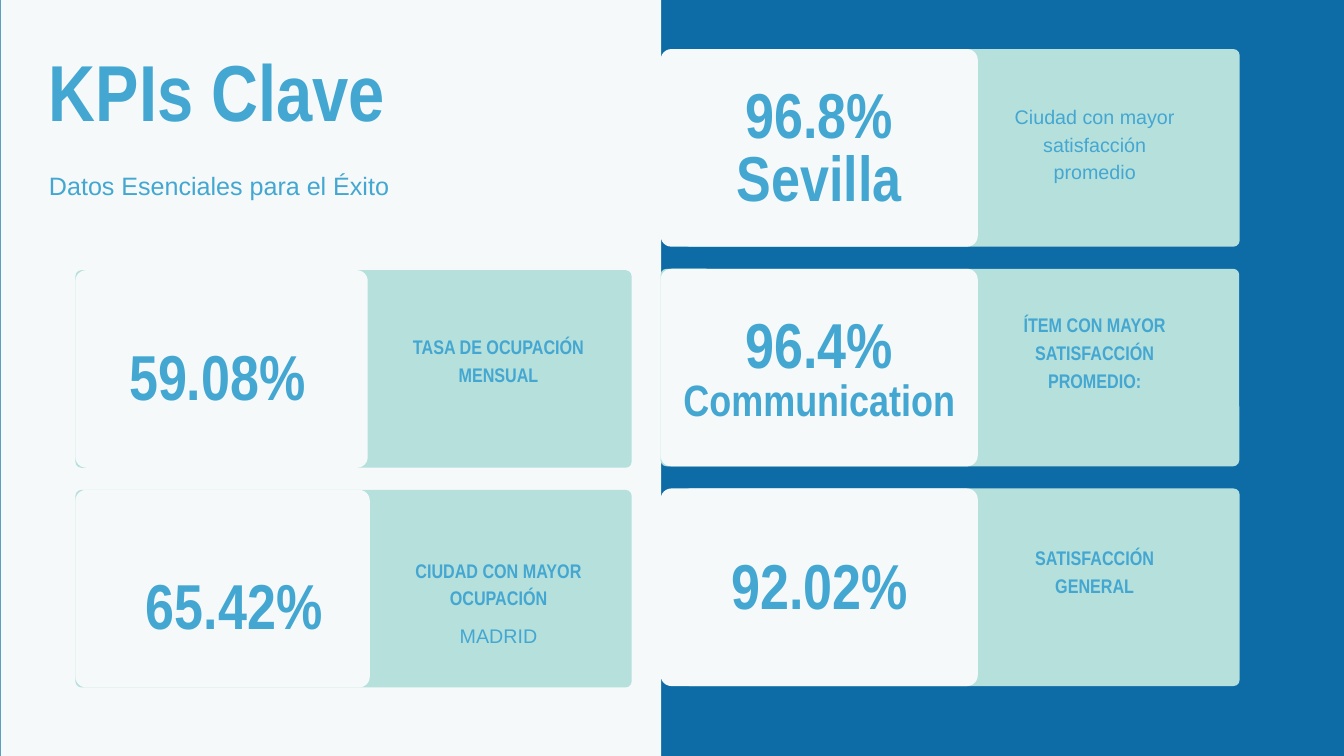
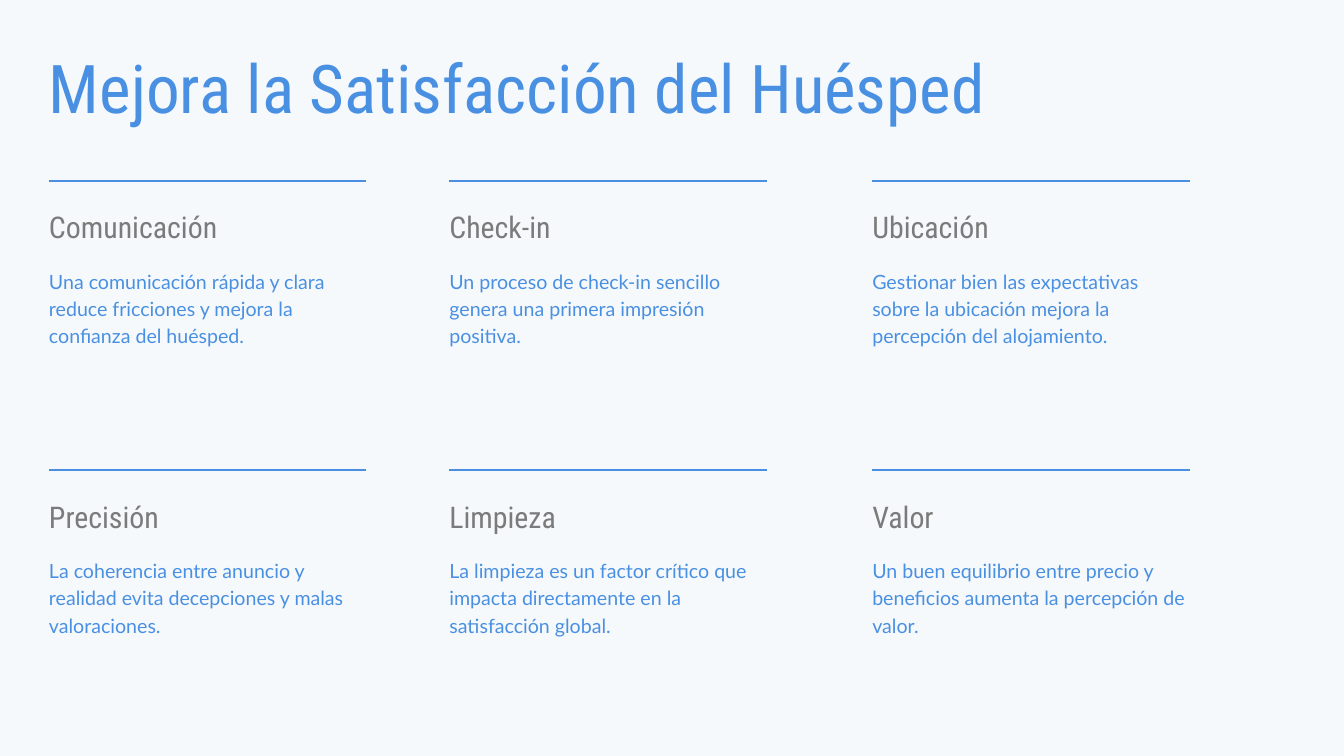
from lxml import etree
from pptx import Presentation
from pptx.dml.color import RGBColor
from pptx.enum import shapes as shp, text as txt
from pptx.oxml import ns
from pptx.util import Pt

# Colours and fonts
DEEP_BLUE = RGBColor(0x0D, 0x6C, 0xA6)
OFF_WHITE = RGBColor(0xF5, 0xF9, 0xF9)
PALE_GREY = RGBColor(0xF6, 0xF9, 0xFB)
MINT = RGBColor(0xB6, 0xE0, 0xDC)
SKY = RGBColor(0x43, 0xA7, 0xD2)
BLUE = RGBColor(0x4A, 0x90, 0xE2)
GREY = RGBColor(0x7B, 0x7B, 0x7B)
NARROW, ARIAL, ROBOTO, LATO = "Arial Narrow", "Arial", "Roboto Condensed", "Lato"

# Content: key figures
KPI_TITLE = "KPIs Clave"
KPI_SUBTITLE = "Datos Esenciales para el Éxito"
# Each label is (text, bold, top); each figure line is (text, size)
KPI_CARDS = [
    dict(side="right", row=0, back=(732.2, 596), front_width=339.8,
         figure=[("96.8%", 68), ("Sevilla", 68)], figure_at=(732.2, 93.6),
         labels=[("Ciudad con mayor satisfacción promedio", False, 108)]),
    dict(side="right", row=1, back=(707.8, 620), front_width=339.8,
         figure=[("96.4%", 68), ("Communication", 47)], figure_at=(732.2, 340.6),
         labels=[("ÍTEM CON MAYOR SATISFACCIÓN PROMEDIO:", True, 331.2)]),
    dict(side="right", row=2, back=(732.2, 596), front_width=339.8,
         figure=[("92.02%", 68)], figure_at=(732.2, 598.3),
         labels=[("SATISFACCIÓN GENERAL", True, 581)]),
    dict(side="left", row=2, back=(80.8, 596), front_width=315.4,
         figure=[("65.42%", 68)], figure_at=(105.1, 619.9),
         labels=[("CIUDAD CON MAYOR OCUPACIÓN", True, 594), ("MADRID", False, 663.8)]),
    dict(side="left", row=1, back=(80.8, 596), front_width=313.2,
         figure=[("59.08%", 68)], figure_at=(87.1, 374.4),
         labels=[("TASA DE OCUPACIÓN MENSUAL", True, 355)]),
]

# Content: guest satisfaction
GUEST_TITLE = "Mejora la Satisfacción del Huésped"
GUEST_TOPICS = [
    ("Comunicación", "Una comunicación rápida y clara reduce fricciones y mejora la confianza del huésped."),
    ("Check-in", "Un proceso de check-in sencillo genera una primera impresión positiva."),
    ("Ubicación", "Gestionar bien las expectativas sobre la ubicación mejora la percepción del alojamiento."),
    ("Precisión", "La coherencia entre anuncio y realidad evita decepciones y malas valoraciones."),
    ("Limpieza", "La limpieza es un factor crítico que impacta directamente en la satisfacción global."),
    ("Valor", "Un buen equilibrio entre precio y beneficios aumenta la percepción de valor."),
]

# Layout, in points
MARGIN = 52.5
CARD_HEIGHT, CARD_PITCH = 211.7, 235.4
SIDES = {  # front left, top of row 0, label left
    "right": (707.8, 52.6, 1071.4),
    "left": (80.8, 54.1, 432.7),
}
TOPIC_LEFTS, TOPIC_WIDTH = (MARGIN, 481.5, 934.6), 340
TOPIC_TOP, TOPIC_PITCH = 193.8, 310.2


def write(box, lines, font, color, spacing, bold=False, align=txt.PP_ALIGN.LEFT):
    """Fill a box with (text, size) lines; spacing is a multiple of the size."""
    frame = box.text_frame
    frame.margin_left = frame.margin_top = frame.margin_right = frame.margin_bottom = 0
    frame.word_wrap = True
    frame.auto_size = txt.MSO_AUTO_SIZE.NONE
    frame.vertical_anchor = txt.MSO_ANCHOR.TOP
    for number, (words, size) in enumerate(lines):
        line = frame.add_paragraph() if number else frame.paragraphs[0]
        line.alignment = align
        line.line_spacing = Pt(round(size * spacing, 1))
        run = line.add_run()
        run.text = words
        run.font.name, run.font.size, run.font.bold = font, Pt(size), bold
        run.font.color.rgb = color


def add_text(slide, place, lines, **style):
    write(slide.shapes.add_textbox(*map(Pt, place)), lines, **style)


def add_panel(slide, place, color, radius=0):
    kind = shp.MSO_SHAPE.ROUNDED_RECTANGLE if radius else shp.MSO_SHAPE.RECTANGLE
    panel = slide.shapes.add_shape(kind, *map(Pt, place))
    if radius:
        panel.adjustments[0] = radius / min(place[2:])
    panel.shadow.inherit = False
    panel.fill.solid()
    panel.fill.fore_color.rgb = color
    panel.line.fill.background()
    return panel


def add_rule(slide, left, top, width):
    rule = slide.shapes.add_connector(
        shp.MSO_CONNECTOR.STRAIGHT, Pt(left), Pt(top), Pt(left + width), Pt(top))
    rule.line.color.rgb = BLUE
    rule.line.width = Pt(2)
    etree.SubElement(rule.element.spPr, ns.qn("a:effectLst"))


def new_slide(deck, background, title, place, size, **style):
    slide = deck.slides.add_slide(deck.slide_layouts[5])
    slide.background.fill.solid()
    slide.background.fill.fore_color.rgb = background
    heading = slide.shapes.title
    heading.left, heading.top, heading.width, heading.height = map(Pt, place)
    write(heading, [(title, size)], **style)
    return slide


def add_card(slide, card):
    front_left, first_top, label_left = SIDES[card["side"]]
    top = first_top + card["row"] * CARD_PITCH
    back_left, back_width = card["back"]
    add_panel(slide, (back_left, top, back_width, CARD_HEIGHT), MINT, radius=6.5)
    add_panel(slide, (front_left, top, card["front_width"], CARD_HEIGHT), OFF_WHITE, radius=11.5)
    height = sum(size for _, size in card["figure"])
    add_text(slide, (*card["figure_at"], 291.6, height), card["figure"], font=NARROW,
             color=SKY, spacing=1, bold=True, align=txt.PP_ALIGN.CENTER)
    for words, bold, label_top in card["labels"]:
        lines = 1 if len(words) < 10 else 2 if len(words) < 30 else 3
        add_text(slide, (label_left, label_top, 203, lines * 29.6), [(words, 21.1)],
                 font=NARROW if bold else ARIAL, color=SKY, spacing=1.403, bold=bold,
                 align=txt.PP_ALIGN.CENTER)


def build_kpis(deck):
    slide = new_slide(deck, DEEP_BLUE, KPI_TITLE, (MARGIN, 62.6, 453, 91.4), 85,
                      font=NARROW, color=SKY, spacing=1, bold=True)
    # The left half lies behind the title
    left_half = add_panel(slide, (0.7, 0, 707.8, 810), OFF_WHITE)
    slide.shapes.title.element.addprevious(left_half.element)
    add_text(slide, (MARGIN, 177, 453, 34.6), [(KPI_SUBTITLE, 26.9)],
             font=ARIAL, color=SKY, spacing=1.4)
    for card in KPI_CARDS:
        add_card(slide, card)


def build_guest(deck):
    slide = new_slide(deck, PALE_GREY, GUEST_TITLE, (MARGIN, 56.9, 1222, 81.4), 72,
                      font=ROBOTO, color=BLUE, spacing=1.1)
    # Topics in a grid of three columns
    for number, (name, advice) in enumerate(GUEST_TOPICS):
        row, column = divmod(number, len(TOPIC_LEFTS))
        left, top = TOPIC_LEFTS[column], TOPIC_TOP + row * TOPIC_PITCH
        add_rule(slide, left, top, TOPIC_WIDTH)
        add_text(slide, (left, top + 35, TOPIC_WIDTH, 35.3), [(name, 32)],
                 font=ROBOTO, color=GREY, spacing=1.05)
        add_text(slide, (left, top + 90.7, TOPIC_WIDTH, 86.4), [(advice, 21)],
                 font=LATO, color=BLUE, spacing=1.4)


def main():
    deck = Presentation()
    deck.slide_width, deck.slide_height = Pt(1440), Pt(810)
    build_kpis(deck)
    build_guest(deck)
    deck.save("out.pptx")


if __name__ == "__main__":
    main()
